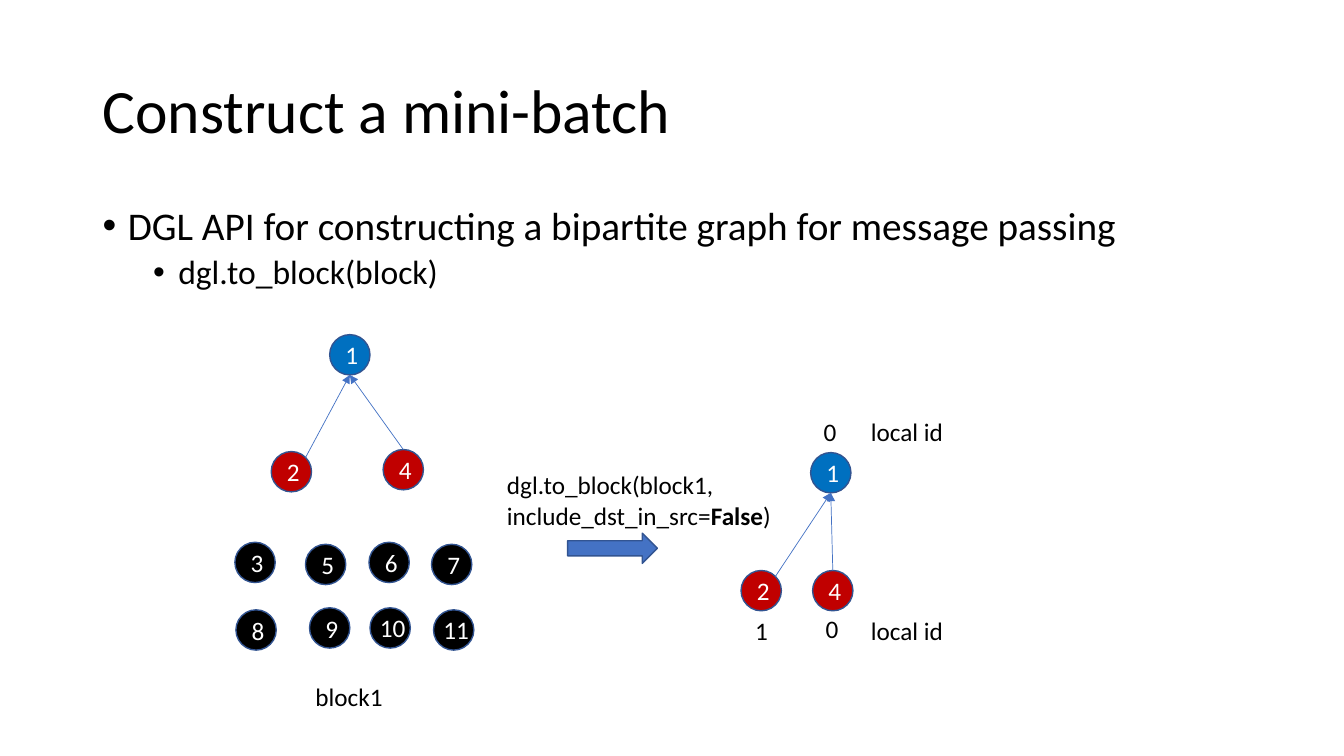
from lxml.etree import SubElement
from pptx import Presentation
from pptx.dml.color import RGBColor
from pptx.enum.shapes import MSO_CONNECTOR as Connector, MSO_SHAPE as Shape
from pptx.enum.text import MSO_ANCHOR as Anchor, PP_ALIGN as Align
from pptx.oxml.ns import qn
from pptx.util import Inches, Pt

BLACK, WHITE = "000000", "FFFFFF"
BLUE, RED = "0070C0", "C00000"
ACCENT, OUTLINE = "4472C4", "325491"
DIAMETER = 0.4


def rgb(value):
    """Return the colour for a hex string."""
    return RGBColor.from_string(value)


def write(paragraph, text, size=18, color=BLACK, bold=False):
    """Add a run of formatted text to a paragraph."""
    run = paragraph.add_run()
    run.text = text
    run.font.name = "Calibri"
    run.font.size = Pt(size)
    run.font.bold = bold
    run.font.color.rgb = rgb(color)


def add_frame(shapes, left, top, width, height, wrap=True, anchor=Anchor.TOP):
    """Add a text box and return its text frame."""
    box = shapes.add_textbox(Inches(left), Inches(top), Inches(width), Inches(height))
    frame = box.text_frame
    frame.word_wrap = wrap
    frame.vertical_anchor = anchor
    return frame


def add_label(shapes, text, left, top, width, color=BLACK, wrap=False):
    """Add a one-line label."""
    frame = add_frame(shapes, left, top, width, 0.4, wrap)
    write(frame.paragraphs[0], text, color=color)


def add_bullet(paragraph, text, size, indent, space, level=0):
    """Write a bulleted paragraph with a hanging indent."""
    paragraph.level = level
    paragraph.line_spacing = 0.9
    paragraph.space_before = Pt(space)
    properties = paragraph._p.get_or_add_pPr()
    properties.set("marL", str(Inches(indent)))
    properties.set("indent", str(Inches(-0.25)))
    SubElement(properties, qn("a:buFont")).set("typeface", "Arial")
    SubElement(properties, qn("a:buChar")).set("char", "•")
    write(paragraph, text, size)


def add_filled(shapes, preset, left, top, width, height, fill):
    """Add an outlined preset shape."""
    shape = shapes.add_shape(
        preset, Inches(left), Inches(top), Inches(width), Inches(height))
    shape.shadow.inherit = False
    shape.fill.solid()
    shape.fill.fore_color.rgb = rgb(fill)
    shape.line.color.rgb = rgb(OUTLINE)
    shape.line.width = Pt(1)
    return shape


def add_node(shapes, number, left, top, fill):
    """Add a graph node with its number."""
    node = add_filled(shapes, Shape.OVAL, left, top, DIAMETER, DIAMETER, fill)
    if len(number) > 1:
        add_label(shapes, number, left, top, 0.46, WHITE, wrap=True)
        return
    node.text_frame.vertical_anchor = Anchor.MIDDLE
    paragraph = node.text_frame.paragraphs[0]
    paragraph.alignment = Align.CENTER
    write(paragraph, number, color=WHITE)


def add_edge(shapes, start, end):
    """Add a thin arrow from start to end."""
    edge = shapes.add_connector(
        Connector.STRAIGHT, *(Inches(value) for value in (*start, *end)))
    edge.line.color.rgb = rgb(ACCENT)
    edge.line.width = Pt(0.5)
    SubElement(edge.line._get_or_add_ln(), qn("a:tailEnd")).set("type", "triangle")
    SubElement(edge._element.spPr, qn("a:effectLst"))


def add_tree(shapes, root, left_child, right_child):
    """Add node 1 with messages arriving from nodes 2 and 4."""
    add_node(shapes, "1", *root, BLUE)
    add_node(shapes, "2", *left_child, RED)
    add_node(shapes, "4", *right_child, RED)
    target = root[0] + DIAMETER / 2, root[1] + DIAMETER
    add_edge(shapes, (left_child[0] + 0.34, left_child[1] + 0.06), target)
    add_edge(shapes, (right_child[0] + DIAMETER / 2, right_child[1]), target)


def add_heading(shapes):
    """Add the title and the bullets."""
    title = add_frame(shapes, 0.92, 0.4, 11.5, 1.45, anchor=Anchor.MIDDLE).paragraphs[0]
    title.line_spacing = 0.9
    write(title, "Construct a mini-batch", 44)
    body = add_frame(shapes, 0.92, 2, 11.5, 4.76)
    add_bullet(body.paragraphs[0],
               "DGL API for constructing a bipartite graph for message passing",
               28, 0.25, 10)
    add_bullet(body.add_paragraph(), "dgl.to_block(block)", 24, 0.75, 5, level=1)


def add_input_block(shapes):
    """Add the block with its unused nodes."""
    add_tree(shapes, (3.27, 3.32), (2.69, 4.48), (3.8, 4.46))
    unused = [
        ("3", 2.33, 5.38), ("5", 3.03, 5.4), ("6", 3.66, 5.38), ("7", 4.28, 5.4),
        ("8", 2.34, 6.05), ("9", 3.07, 6.03), ("10", 3.67, 6.03), ("11", 4.3, 6.05),
    ]
    for number, left, top in unused:
        add_node(shapes, number, left, top, BLACK)


def add_bipartite_graph(shapes):
    """Add the resulting graph with its local ids."""
    add_tree(shapes, (8.04, 4.49), (7.35, 5.66), (8.06, 5.66))
    for local_id, left, top in [("0", 8.07, 4.08), ("0", 8.09, 6.04), ("1", 7.39, 6.06)]:
        add_label(shapes, local_id, left, top, 0.33)
    for top in (4.08, 6.06):
        add_label(shapes, "local id", 8.54, top, 0.93)


def add_call(shapes):
    """Add the conversion call."""
    call = add_frame(shapes, 4.93, 4.61, 2.85, 0.71, wrap=False)
    write(call.paragraphs[0], "dgl.to_block(block1,")
    argument = call.add_paragraph()
    write(argument, "include_dst_in_src=")
    write(argument, "False", bold=True)
    write(argument, ")")


def main():
    """Build and save the slide."""
    deck = Presentation()
    deck.slide_width, deck.slide_height = Inches(13.33), Inches(7.5)
    shapes = deck.slides.add_slide(deck.slide_layouts[6]).shapes
    add_heading(shapes)
    add_input_block(shapes.add_group_shape().shapes)
    add_filled(shapes, Shape.RIGHT_ARROW, 5.63, 5.29, 0.89, 0.3, ACCENT)
    add_bipartite_graph(shapes.add_group_shape().shapes)
    add_label(shapes, "block1", 3.03, 6.71, 0.88)
    add_call(shapes)
    deck.save("out.pptx")


if __name__ == "__main__":
    main()
